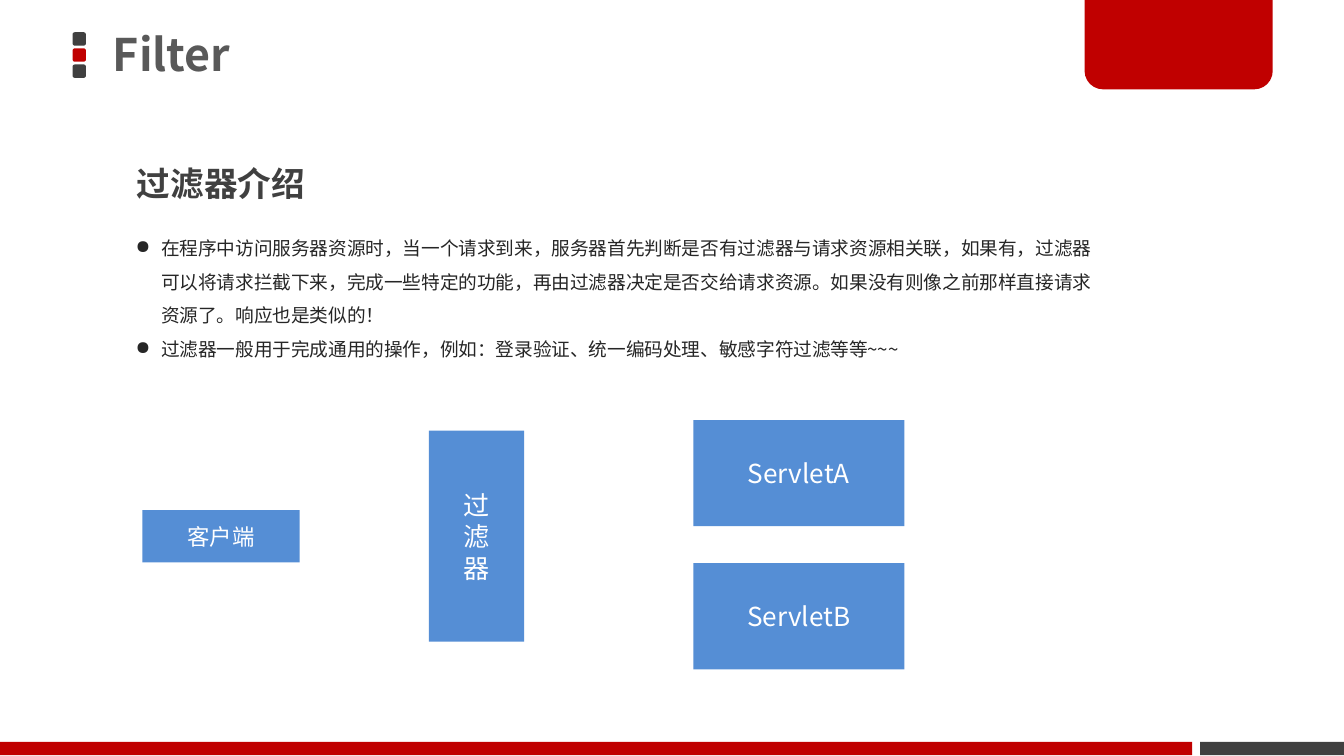
from lxml.etree import SubElement
from pptx import Presentation
from pptx.dml.color import RGBColor
from pptx.enum.shapes import MSO_SHAPE
from pptx.enum.text import MSO_ANCHOR, PP_ALIGN
from pptx.oxml.ns import qn
from pptx.util import Inches, Pt

COLORS = {
    "red": "C00000",
    "dark": "404040",
    "title": "595959",
    "body": "262626",
    "blue": "558ED5",
    "white": "FFFFFF",
}
FONT = "Noto Sans CJK SC"
BULLET_FONT = "OpenSymbol"
CELL = 0.1
COLUMNS, ROWS = 100, 56.25


def write(frame, lines, size, color, bold=False, align=PP_ALIGN.LEFT,
          spacing=None, bullet=None, anchor=MSO_ANCHOR.TOP, inset=(0.1, 0.05)):
    frame.word_wrap = True
    frame.vertical_anchor = anchor
    frame.margin_left = frame.margin_right = Inches(inset[0])
    frame.margin_top = frame.margin_bottom = Inches(inset[1])
    for index, line in enumerate(lines):
        paragraph = frame.add_paragraph() if index else frame.paragraphs[0]
        paragraph.alignment = align
        if spacing:
            paragraph.line_spacing = spacing
        if bullet:
            add_bullet(paragraph, bullet, color)
        run = paragraph.add_run()
        run.text = line
        run.font.size = Pt(size)
        run.font.bold = bold
        run.font.color.rgb = RGBColor.from_string(COLORS[color])
        run.font.name = FONT
        SubElement(run.font._element, qn("a:ea"), typeface=FONT)


def add_bullet(paragraph, mark, color):
    properties = paragraph._p.get_or_add_pPr()
    indent = Inches(0.19)
    properties.set("marL", str(indent))
    properties.set("indent", str(-indent))
    bullet_color = SubElement(properties, qn("a:buClr"))
    SubElement(bullet_color, qn("a:srgbClr"), val=COLORS[color])
    SubElement(properties, qn("a:buFont"), typeface=BULLET_FONT)
    SubElement(properties, qn("a:buChar"), char=mark)


class SlideBuilder:
    def __init__(self, deck):
        self.slide = deck.slides.add_slide(deck.slide_layouts[6])

    def place(self, *cells):
        return [Inches(cell * CELL) for cell in cells]

    def block(self, *cells, color, preset=MSO_SHAPE.RECTANGLE, corners=()):
        block = self.slide.shapes.add_shape(preset, *self.place(*cells))
        block.shadow.inherit = False
        block.fill.solid()
        block.fill.fore_color.rgb = RGBColor.from_string(COLORS[color])
        block.line.fill.background()
        for index, corner in enumerate(corners):
            block.adjustments[index] = corner
        return block

    def node(self, *cells, lines, size=14):
        node = self.block(*cells, color="blue")
        write(node.text_frame, lines, size, "white",
              align=PP_ALIGN.CENTER, anchor=MSO_ANCHOR.MIDDLE)

    def text(self, *cells, lines, **style):
        box = self.slide.shapes.add_textbox(*self.place(*cells))
        write(box.text_frame, lines, **style)


def main():
    deck = Presentation()
    deck.slide_width = Inches(COLUMNS * CELL)
    deck.slide_height = Inches(ROWS * CELL)
    page = SlideBuilder(deck)

    for row, color in enumerate(("dark", "red", "dark")):
        page.block(5.4, 2.4 + row * 1.2, 1, 1, color=color,
                   preset=MSO_SHAPE.ROUNDED_RECTANGLE, corners=(0.17,))
    page.block(80.7, -0.2, 14, 6.85, color="red",
               preset=MSO_SHAPE.ROUND_2_SAME_RECTANGLE, corners=(0, 0.2))
    for left, width, color in ((89.3, 10.7, "dark"), (0, 88.7, "red")):
        page.block(left, 55.2, width, 1, color=color)

    page.text(6.85, -0.2, 58.9, 8.9, lines=[" Filter"], size=24, color="title",
              bold=True, spacing=0.9, anchor=MSO_ANCHOR.MIDDLE, inset=(0.08, 0.04))
    page.text(9.2, 10.1, 38.4, 5.5, lines=["过滤器介绍"], size=18, color="dark",
              bold=True, spacing=1.5)
    introduction = [
        "在程序中访问服务器资源时，当一个请求到来，服务器首先判断是否有过滤器与请求资源相关联，"
        "如果有，过滤器可以将请求拦截下来，完成一些特定的功能，再由过滤器决定是否交给请求资源。"
        "如果没有则像之前那样直接请求资源了。响应也是类似的！",
        "过滤器一般用于完成通用的操作，例如：登录验证、统一编码处理、敏感字符过滤等等~~~",
    ]
    page.text(9.1, 16.3, 73.2, 11, lines=introduction, size=10, color="body",
              spacing=1.5, bullet="●")

    page.node(10.6, 37.95, 11.7, 3.9, lines=["客户端"], size=12)
    page.node(31.9, 32.05, 7.1, 15.7, lines=list("过滤器"))
    for index, servlet in enumerate(("ServletA", "ServletB")):
        page.node(51.6, 31.25 + index * 10.65, 15.7, 7.9, lines=[servlet])

    deck.save("out.pptx")


if __name__ == "__main__":
    main()
